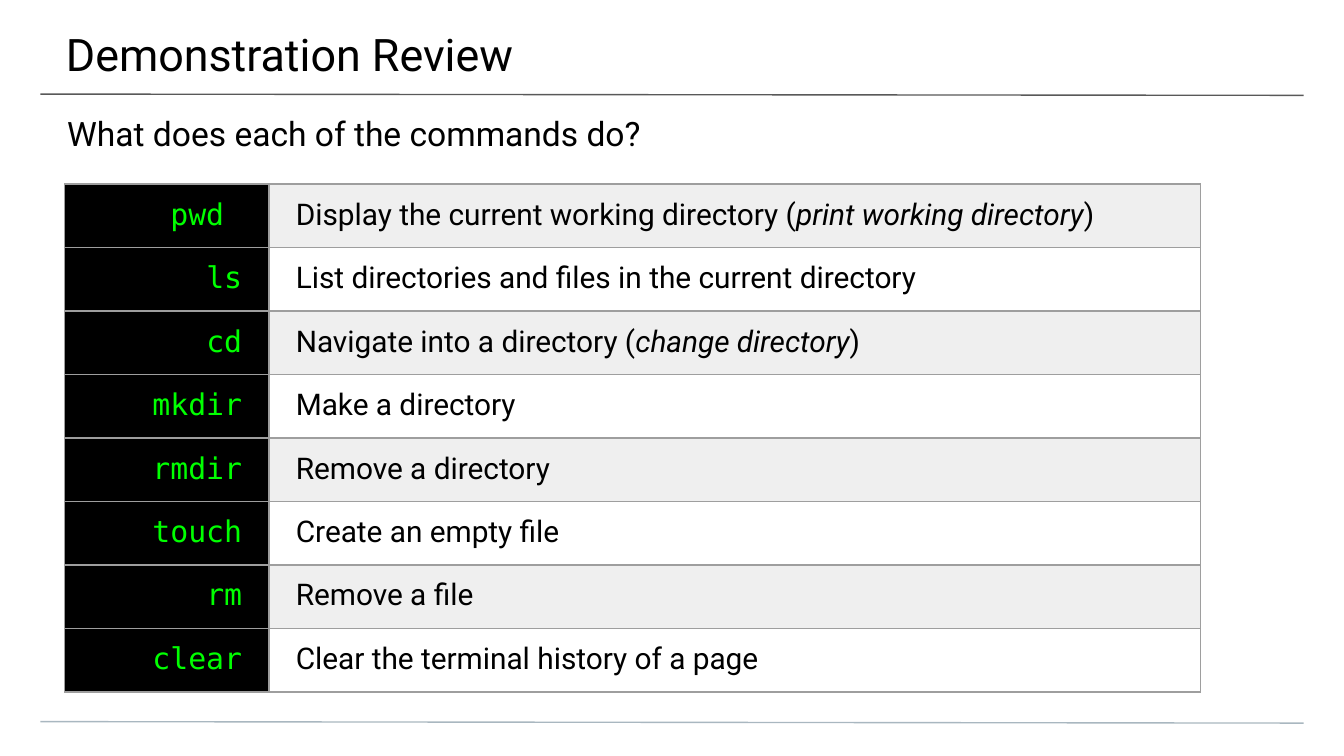
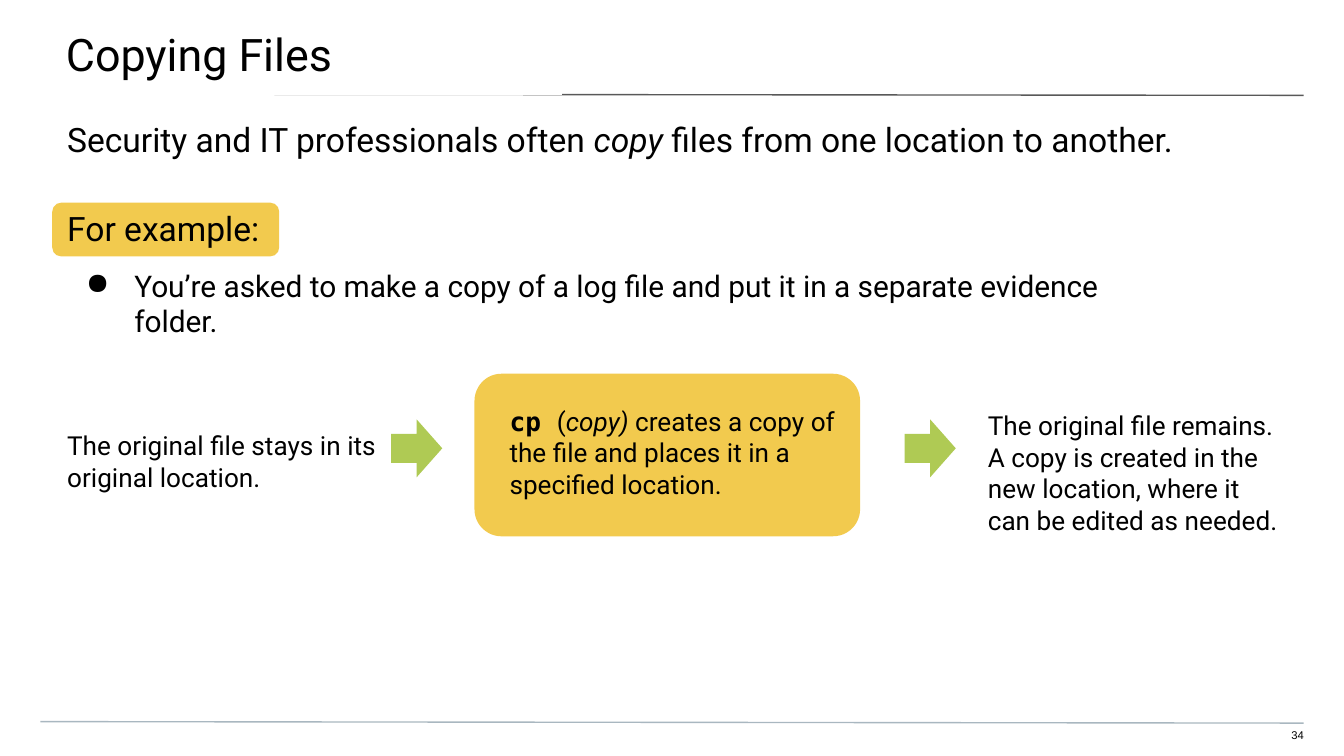
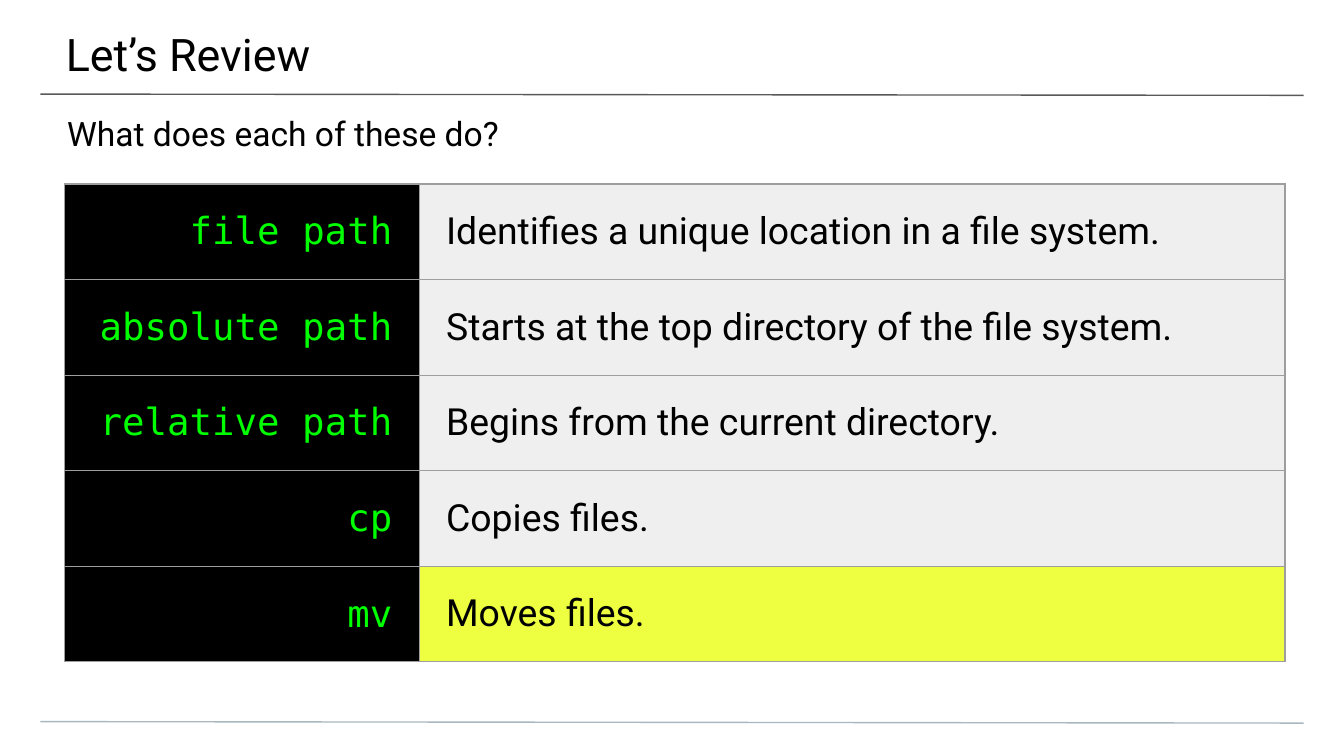
from dataclasses import dataclass
from pptx import Presentation
from pptx.dml.color import RGBColor as Rgb
from pptx.enum.shapes import MSO_CONNECTOR as Link, MSO_SHAPE as Form
from pptx.enum.text import MSO_ANCHOR as Anchor, PP_ALIGN as Align
from pptx.oxml.ns import qn
from pptx.util import Pt
from lxml.etree import SubElement as sub


@dataclass(frozen=True)
class Theme:
    ink: str = "000000"
    paper: str = "FFFFFF"
    rule: str = "595959"
    foot: str = "A9B7C0"
    grid: str = "9E9E9E"
    gray: str = "EFEFEF"
    lime: str = "EEFF41"
    neon: str = "00FF00"
    gold: str = "F1C232"
    green: str = "AFCA54"
    sans: str = "Roboto"
    mono: str = "DejaVu Sans Mono"
    plain: str = "Arial"
    title: int = 24
    lead: int = 18
    body: int = 16
    note: int = 14
    term: int = 20
    page: int = 6
    line: float = 0.75


T = Theme()


def pts(*nums):
    return [Pt(n) for n in nums]


def write(para, parts, size, font=T.sans, color=T.ink):
    if isinstance(parts, str):
        parts = [(parts, "")]
    para.text = parts[0][0]
    for text, _ in parts[1:]:
        para.add_run().text = text
    for run, (_, style) in zip(para.runs, parts):
        face = run.font
        face.name = T.mono if style == "code" else font
        face.size = Pt(size)
        face.color.rgb = Rgb.from_string(color)
        face.bold = style == "code"
        face.italic = style == "slant"


def inset(obj, left, top, right, low):
    obj.margin_left, obj.margin_top, obj.margin_right, obj.margin_bottom = pts(left, top, right, low)


def label(slide, box, parts, size, pad=(0, 0, 0, 0), font=T.sans, mid=False):
    frame = slide.shapes.add_textbox(*pts(*box)).text_frame
    frame.word_wrap = True
    frame.vertical_anchor = Anchor.MIDDLE if mid else Anchor.TOP
    inset(frame, *pad)
    write(frame.paragraphs[0], parts, size, font)
    return frame


def rule(slide, ends, color):
    line = slide.shapes.add_connector(Link.STRAIGHT, *pts(*ends))
    line.line.color.rgb = Rgb.from_string(color)
    line.line.width = Pt(T.line)
    sub(line.element.spPr, qn("a:effectLst"))


def block(slide, form, box, color, alpha=None):
    shape = slide.shapes.add_shape(form, *pts(*box))
    shape.shadow.inherit = False
    shape.fill.solid()
    shape.fill.fore_color.rgb = Rgb.from_string(color)
    shape.line.fill.background()
    if alpha:
        tint = shape.element.spPr.find(".//" + qn("a:srgbClr"))
        sub(tint, qn("a:alpha"), val=str(alpha * 1000))


def base(deck, title, lead):
    slide = deck.slides.add_slide(deck.slide_layouts[6])
    rule(slide, (21.6, 50.4, 698.4, 51.1), T.rule)
    rule(slide, (21.6, 386.6, 698.4, 387.4), T.foot)
    label(slide, (-0.7, 0, 722, 42), title, T.title, (36, 14.4, 21.6, 7.2))
    intro = label(slide, (0, 53.3, 720, 28.8), lead, T.lead, (36, 7.2, 36, 0))
    return slide, intro.paragraphs[0]


def border(cell):
    props = cell._tc.get_or_add_tcPr()
    for spot, side in enumerate(("lnL", "lnR", "lnT", "lnB")):
        edge = sub(props, qn("a:" + side), w=str(Pt(T.line)))
        fill = sub(edge, qn("a:solidFill"))
        sub(fill, qn("a:srgbClr"), val=T.grid)
        props.insert(spot, edge)


def terms(slide, box, rows, split, size, fills, mid=False):
    table = slide.shapes.add_table(len(rows), 2, *pts(*box)).table
    table.first_row = table.horz_banding = False
    table.columns[0].width, table.columns[1].width = pts(split, box[2] - split)
    for row, pair, fill in zip(table.rows, rows, fills):
        row.height = Pt(box[3] / len(rows))
        looks = (T.mono, T.neon, T.ink, Align.RIGHT), (T.sans, T.ink, fill, Align.LEFT)
        for cell, text, (font, color, back, align) in zip(row.cells, pair, looks):
            inset(cell, 14.4, 7.2, 14.4, 7.2)
            cell.vertical_anchor = Anchor.MIDDLE if mid else Anchor.TOP
            para = cell.text_frame.paragraphs[0]
            write(para, text, size, font, color)
            para.alignment = align
            cell.fill.solid()
            cell.fill.fore_color.rgb = Rgb.from_string(back)
            border(cell)


def sample(slide, box, head, point):
    x, y, wide, high = box
    block(slide, Form.ROUNDED_RECTANGLE, (x - 8, y - 3, 121.6, 28.8), T.gold, 86)
    frame = label(slide, box, head, T.lead)
    para = frame.add_paragraph()
    para.space_before = Pt(10)
    props = para._p.get_or_add_pPr()
    props.set("marL", str(Pt(36)))
    props.set("indent", str(Pt(-26)))
    sub(sub(props, qn("a:buClr")), qn("a:srgbClr"), val=T.ink)
    sub(props, qn("a:buChar"), char="●")
    write(para, point, T.body)


def flow(slide, box, start, step, end):
    x, y, wide, high = box
    block(slide, Form.ROUNDED_RECTANGLE, (x + 218.2, y, 206.6, high), T.gold, 86)
    label(slide, (x + 237, y, 184.3, high - 3), step, T.note, mid=True)
    label(slide, (x + wide - 157.7, y + 9.4, 157.7, high), end, T.note, mid=True)
    label(slide, (x, y + 9.4, 182.2, 75), start, T.note, mid=True).paragraphs[0].space_after = Pt(8)
    for left in (173.5, 448.6):
        block(slide, Form.RIGHT_ARROW, (x + left, y + 24.5, 27.4, 31), T.green)


def demo(deck):
    slide, _ = base(deck, "Demonstration Review", "What does each of the commands do?")
    rows = [
        ("pwd ", [("Display the current working directory (", ""),
                  ("print working directory", "slant"), (")", "")]),
        ("ls", "List directories and files in the current directory"),
        ("cd", [("Navigate into a directory (", ""), ("change directory", "slant"), (")", "")]),
        ("mkdir", "Make a directory"),
        ("rmdir", "Remove a directory"),
        ("touch", "Create an empty file"),
        ("rm", "Remove a file"),
        ("clear", "Clear the terminal history of a page"),
    ]
    terms(slide, (34.6, 98.6, 608.4, 272.2), rows, 109.5, T.body, [T.gray, T.paper] * 4)


def copying(deck):
    lead = [("Security and IT professionals often ", ""), ("copy", "slant"),
            (" files from one location to another.", "")]
    slide, intro = base(deck, "Copying Files", lead)
    intro.line_spacing = 1.15
    intro.space_after = Pt(12)
    rule(slide, (21.6, 50.4, 301, 50.4), T.paper)
    sample(slide, (36, 111.6, 568.8, 75), "For example:",
           "You’re asked to make a copy of a log file and put it in a separate evidence folder.")
    step = [("cp ", "code"), ("(", ""), ("copy) ", "slant"),
            ("creates a copy of the file and places it in a specified location.", "")]
    flow(slide, (36, 200.2, 650.9, 87.1), "The original file stays in its original location.", step,
         "The original file remains. A copy is created in the new location, "
         "where it can be edited as needed.")
    page = label(slide, (677.5, 390.2, 20.9, 8.6), "34", T.page, font=T.plain)
    page.paragraphs[0].alignment = Align.RIGHT


def review(deck):
    slide, _ = base(deck, "Let’s Review", "What does each of these do?")
    rows = [
        ("file path", "Identifies a unique location in a file system."),
        ("absolute path", "Starts at the top directory of the file system."),
        ("relative path", "Begins from the current directory."),
        ("cp", "Copies files."),
        ("mv", "Moves files."),
    ]
    fills = [T.gray] * 4 + [T.lime]
    terms(slide, (34.6, 98.6, 653.8, 256), rows, 190, T.term, fills, mid=True)


def main():
    deck = Presentation()
    deck.slide_width, deck.slide_height = pts(720, 405)
    for build in (demo, copying, review):
        build(deck)
    deck.save("out.pptx")


if __name__ == "__main__":
    main()
